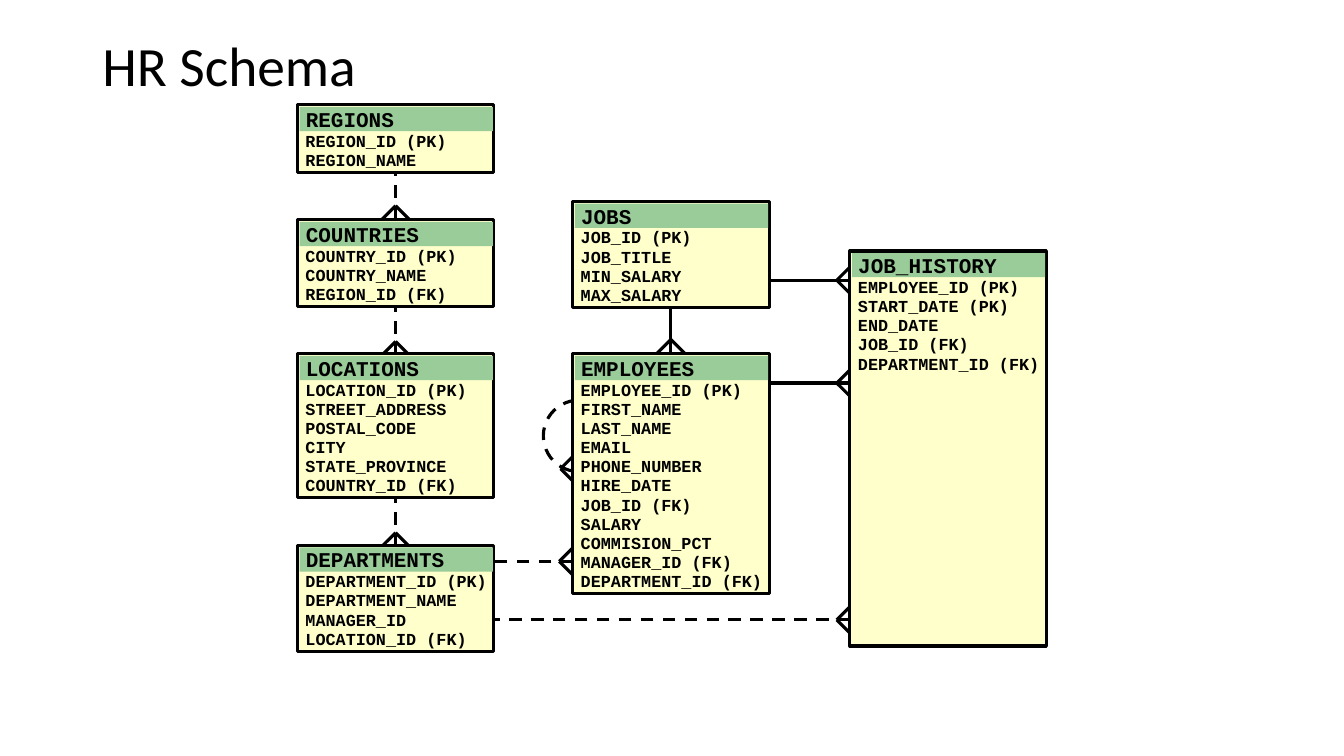
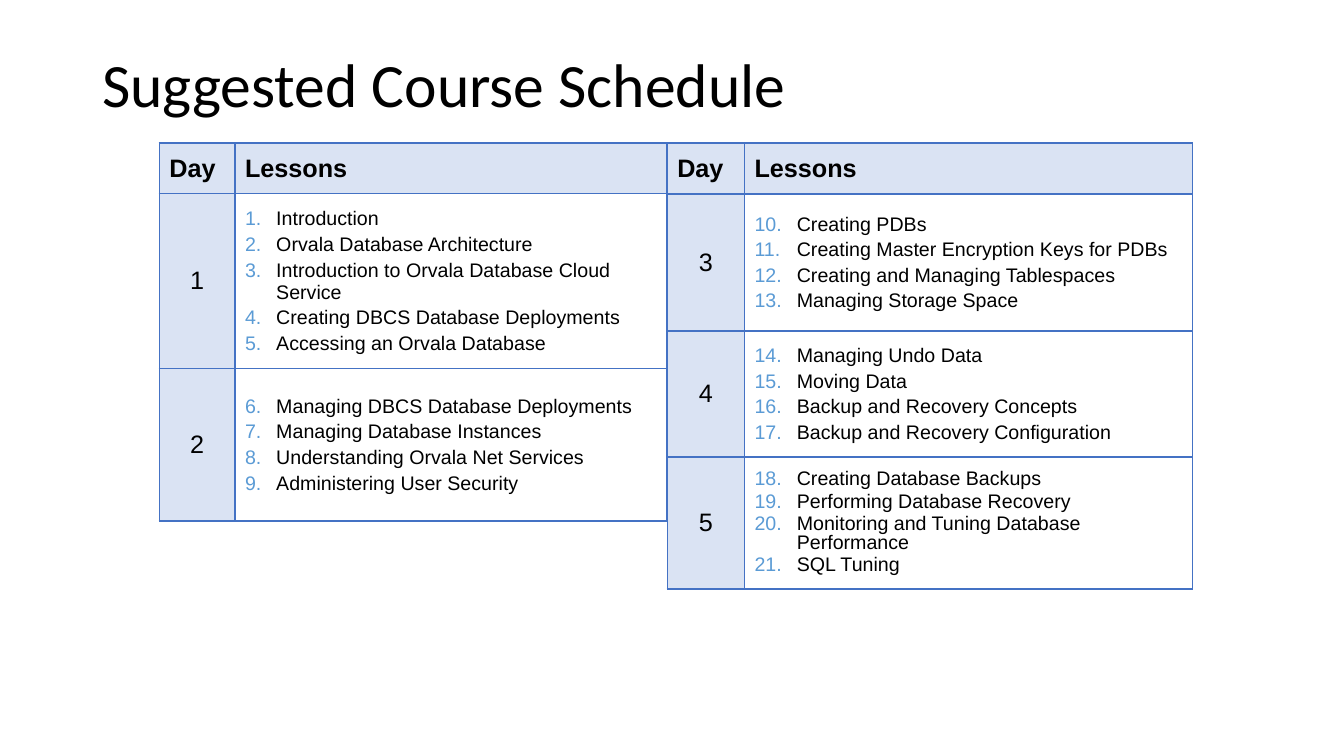
from lxml import etree
from pptx import Presentation
from pptx.dml.color import RGBColor
from pptx.enum.dml import MSO_LINE
from pptx.enum.shapes import MSO_CONNECTOR, MSO_SHAPE
from pptx.enum.text import MSO_ANCHOR, PP_ALIGN
from pptx.oxml.ns import qn
from pptx.util import Pt

RECTANGLE, OVAL = MSO_SHAPE.RECTANGLE, MSO_SHAPE.OVAL
STRAIGHT, DASH = MSO_CONNECTOR.STRAIGHT, MSO_LINE.DASH
LEFT, CENTER = PP_ALIGN.LEFT, PP_ALIGN.CENTER
TOP, MIDDLE = MSO_ANCHOR.TOP, MSO_ANCHOR.MIDDLE

BLACK, WHITE = "000000", "FFFFFF"
ENTITY_FILL, ENTITY_HEADER = "FFFFCC", "99CC99"
TABLE_HEADER, TABLE_BORDER, NUMBER_COLOR = "DAE3F3", "4472C4", "5B9BD5"
TITLE_FONT, CODE_FONT, TABLE_FONT = "Calibri", "Courier New", "Arial"

LINE_WIDTH = 2.25
FOOT = 10
ENTITY_WIDTH = 140.4
ROW_PITCH = 13.7
HEADER_SPACE = 20.8
ENTITY_COLUMNS = (212.4, 409, 607)
LEFT_CENTER, MIDDLE_CENTER = (x + ENTITY_WIDTH / 2 for x in ENTITY_COLUMNS[:2])

ENTITIES = [
    (0, 74.9, "REGIONS", "REGION_ID (PK)|REGION_NAME"),
    (0, 157, "COUNTRIES", "COUNTRY_ID (PK)|COUNTRY_NAME|REGION_ID (FK)"),
    (0, 252.7, "LOCATIONS", "LOCATION_ID (PK)|STREET_ADDRESS|POSTAL_CODE|CITY|"
     "STATE_PROVINCE|COUNTRY_ID (FK)"),
    (0, 389.5, "DEPARTMENTS", "DEPARTMENT_ID (PK)|DEPARTMENT_NAME|MANAGER_ID|"
     "LOCATION_ID (FK)"),
    (1, 144, "JOBS", "JOB_ID (PK)|JOB_TITLE|MIN_SALARY|MAX_SALARY"),
    (1, 252.7, "EMPLOYEES", "EMPLOYEE_ID (PK)|FIRST_NAME|LAST_NAME|EMAIL|"
     "PHONE_NUMBER|HIRE_DATE|JOB_ID (FK)|SALARY|COMMISION_PCT|"
     "MANAGER_ID (FK)|DEPARTMENT_ID (FK)"),
    (2, 179.3, "JOB_HISTORY", "EMPLOYEE_ID (PK)|START_DATE (PK)|END_DATE|"
     "JOB_ID (FK)|DEPARTMENT_ID (FK)"),
]
JOB_HISTORY_HEIGHT = 282.2

VERTICAL_LENGTH = 39.6
VERTICAL_RELATIONS = [
    (LEFT_CENTER, 157, True),
    (LEFT_CENTER, 254, True),
    (LEFT_CENTER, 390.5, True),
    (MIDDLE_CENTER, 252.5, False),
]
HORIZONTAL_RELATIONS = [
    (409.5, 320, 401, True),
    (607.7, 301, 442.8, True),
    (607.7, 520.6, 273.6, False),
    (607.7, 520.6, 200.2, False),
]

FIRST_DAYS = [
    ["Introduction", "Orvala Database Architecture",
     "Introduction to Orvala Database Cloud Service",
     "Creating DBCS Database Deployments", "Accessing an Orvala Database"],
    ["Managing DBCS Database Deployments", "Managing Database Instances",
     "Understanding Orvala Net Services", "Administering User Security"],
]
LAST_DAYS = [
    ["Creating PDBs", "Creating Master Encryption Keys for PDBs",
     "Creating and Managing Tablespaces", "Managing Storage Space"],
    ["Managing Undo Data", "Moving Data", "Backup and Recovery Concepts",
     "Backup and Recovery Configuration"],
    ["Creating Database Backups", "Performing Database Recovery",
     "Monitoring and Tuning Database Performance", "SQL Tuning"],
]


def rgb(color):
    return RGBColor.from_string(color)


def add_child(parent, tag, **attributes):
    return etree.SubElement(parent, qn(tag), attributes)


def set_text(frame, text, *, font, size, bold=False, align=LEFT,
             spacing=1.0, before=0):
    frame.word_wrap = True
    frame.text = text
    for paragraph in frame.paragraphs:
        paragraph.alignment = align
        paragraph.line_spacing = spacing
        paragraph.space_before = Pt(before)
        paragraph.font.name = font
        paragraph.font.size = Pt(size)
        paragraph.font.bold = bold
        paragraph.font.color.rgb = rgb(BLACK)


def set_margins(target, left, top, right, bottom):
    target.margin_left, target.margin_top = Pt(left), Pt(top)
    target.margin_right, target.margin_bottom = Pt(right), Pt(bottom)


def set_line(line, dashed=False):
    line.color.rgb = rgb(BLACK)
    line.width = Pt(LINE_WIDTH)
    if dashed:
        line.dash_style = DASH


def add_title(slide, text, size, height):
    frame = slide.shapes.add_textbox(Pt(66), Pt(28.8), Pt(810), Pt(height)).text_frame
    frame.vertical_anchor = MIDDLE
    set_text(frame, text, font=TITLE_FONT, size=size, spacing=0.9)


def add_line(slide, start, end, dashed=False):
    points = [Pt(value) for value in (*start, *end)]
    connector = slide.shapes.add_connector(STRAIGHT, *points)
    set_line(connector.line, dashed)
    add_child(connector._element.spPr, "a:effectLst")


def add_foot(slide, x, y, vertical=False):
    for side in (-FOOT, FOOT):
        if vertical:
            add_line(slide, (x + side, y), (x, y - FOOT))
        else:
            add_line(slide, (x, y + side), (x - FOOT, y))


def add_box(slide, kind, left, top, width, height, fill=None):
    shape = slide.shapes.add_shape(kind, Pt(left), Pt(top), Pt(width), Pt(height))
    shape.shadow.inherit = False
    if fill:
        shape.fill.solid()
        shape.fill.fore_color.rgb = rgb(fill)
    else:
        shape.fill.background()
    return shape


def add_entity(slide, left, top, height, name, fields):
    body = add_box(slide, RECTANGLE, left, top, ENTITY_WIDTH, height, ENTITY_FILL)
    set_line(body.line)
    set_margins(body.text_frame, 5.8, 19, 0, 0)
    body.text_frame.vertical_anchor = TOP
    set_text(body.text_frame, "\n".join(fields), font=CODE_FONT, size=12,
             bold=True, spacing=Pt(ROW_PITCH))

    header = add_box(slide, RECTANGLE, left + 1.7, top + 1.5, ENTITY_WIDTH - 2.5,
                     17.3, ENTITY_HEADER)
    header.line.fill.background()
    set_margins(header.text_frame, 4.3, 0, 0, 0)
    header.text_frame.vertical_anchor = MIDDLE
    set_text(header.text_frame, name, font=CODE_FONT, size=15, bold=True)


def add_manager_loop(slide):
    loop = add_box(slide, OVAL, 388.1, 285.8, 51.1, 51.1)
    loop.rotation = 247.9
    set_line(loop.line, dashed=True)
    add_foot(slide, 410.4, 334.8)


def format_cell(cell, fill):
    properties = cell._tc.get_or_add_tcPr()
    for side in ("a:lnL", "a:lnR", "a:lnT", "a:lnB"):
        border = add_child(properties, side, w=str(Pt(1)))
        add_child(add_child(border, "a:solidFill"), "a:srgbClr", val=TABLE_BORDER)
    cell.fill.solid()
    cell.fill.fore_color.rgb = rgb(fill)
    cell.vertical_anchor = MIDDLE
    set_margins(cell, 7.2, 7.2, 7.2, 7.2)


def number_paragraphs(frame, start, indent):
    for paragraph in frame.paragraphs:
        properties = paragraph._p.get_or_add_pPr()
        properties.set("marL", str(Pt(indent)))
        properties.set("indent", str(-Pt(indent)))
        add_child(add_child(properties, "a:buClr"), "a:srgbClr", val=NUMBER_COLOR)
        add_child(properties, "a:buAutoNum", type="arabicPeriod", startAt=str(start))


def add_schedule(slide, left, widths, heights, days, *, first_day, first_lesson,
                 indent, tight_days=()):
    table = slide.shapes.add_table(len(heights), 2, Pt(left), Pt(102.2),
                                   Pt(sum(widths)), Pt(sum(heights))).table
    table.first_row = table.horz_banding = False
    for column, width in zip(table.columns, widths):
        column.width = Pt(width)
    for row, height in zip(table.rows, heights):
        row.height = Pt(height)

    for index, heading in enumerate(("Day", "Lessons")):
        cell = table.cell(0, index)
        format_cell(cell, TABLE_HEADER)
        set_text(cell.text_frame, heading, font=TABLE_FONT, size=18, bold=True)

    lesson = first_lesson
    for row, lessons in enumerate(days, 1):
        day = first_day + row - 1
        day_cell, lesson_cell = table.cell(row, 0), table.cell(row, 1)
        format_cell(day_cell, TABLE_HEADER)
        set_text(day_cell.text_frame, str(day), font=TABLE_FONT, size=18, align=CENTER)
        format_cell(lesson_cell, WHITE)
        set_text(lesson_cell.text_frame, "\n".join(lessons), font=TABLE_FONT, size=14,
                 spacing=0.85 if day in tight_days else 1.0, before=2.5)
        number_paragraphs(lesson_cell.text_frame, lesson, indent)
        lesson += len(lessons)


def build_schema(slide):
    add_title(slide, "HR Schema", 39.6, 40.3)
    add_manager_loop(slide)
    for x, y, dashed in VERTICAL_RELATIONS:
        add_line(slide, (x, y), (x, y - VERTICAL_LENGTH), dashed)
        add_foot(slide, x, y, vertical=True)
    for child_x, parent_x, y, dashed in HORIZONTAL_RELATIONS:
        add_line(slide, (child_x, y), (parent_x, y), dashed)
        add_foot(slide, child_x, y)
    for column, top, name, field_list in ENTITIES:
        fields = field_list.split("|")
        height = HEADER_SPACE + ROW_PITCH * len(fields)
        if name == "JOB_HISTORY":
            height = JOB_HISTORY_HEIGHT
        add_entity(slide, ENTITY_COLUMNS[column], top, height, name, fields)


def build_schedule(slide):
    add_title(slide, "Suggested Course Schedule", 44, 67)
    add_schedule(slide, 113.8, (54, 308.2), (35, 121.7, 108.7), FIRST_DAYS,
                 first_day=1, first_lesson=1, indent=22.3)
    add_schedule(slide, 476.6, (55.2, 320.2), (36.4, 97.9, 90, 94.3), LAST_DAYS,
                 first_day=3, first_lesson=10, indent=30.2, tight_days=(5,))


def main():
    presentation = Presentation()
    presentation.slide_width, presentation.slide_height = Pt(960), Pt(540)
    blank = presentation.slide_layouts[6]
    for build in (build_schema, build_schedule):
        build(presentation.slides.add_slide(blank))
    presentation.save("out.pptx")


if __name__ == "__main__":
    main()
